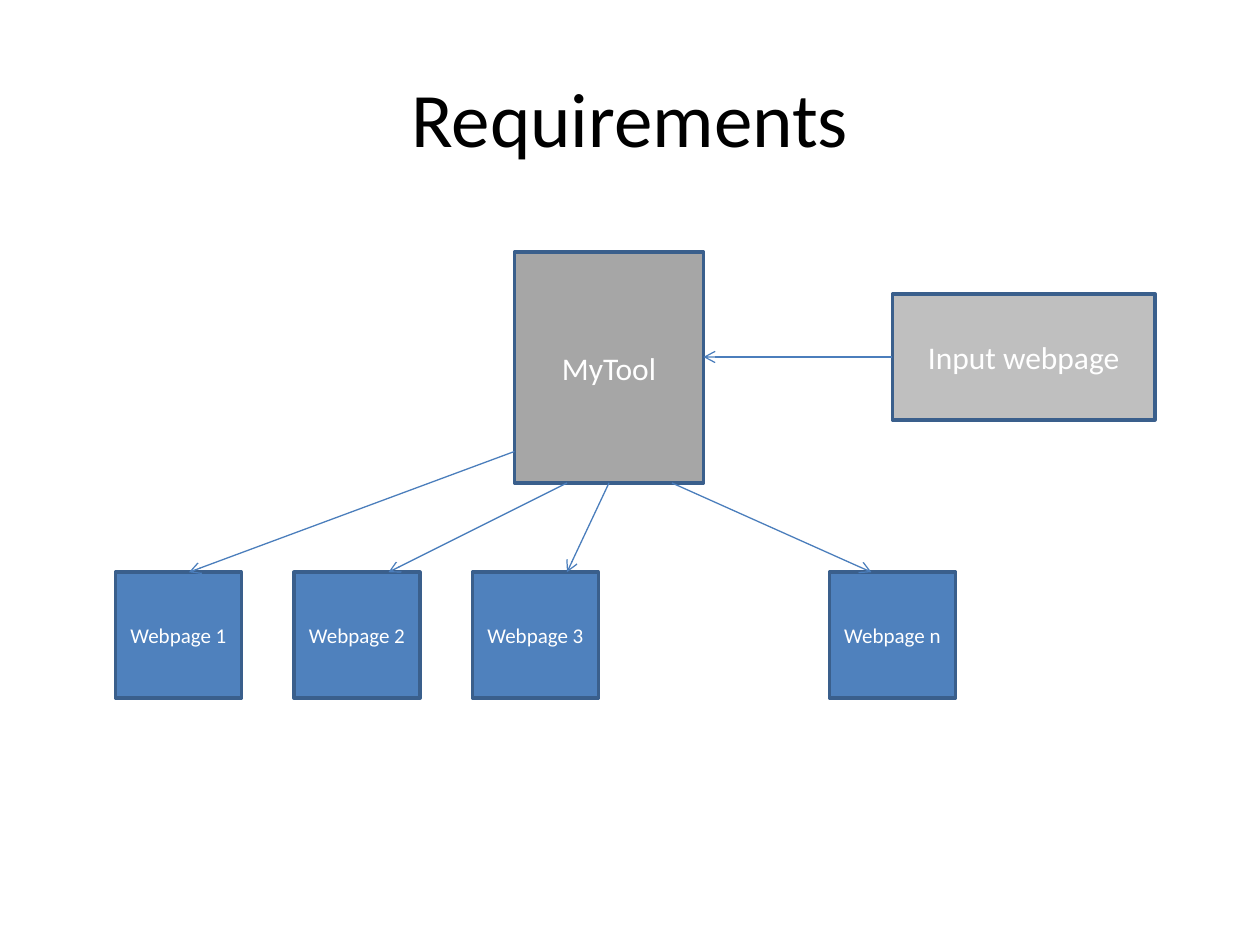
from lxml import etree
from pptx import Presentation
from pptx.dml.color import RGBColor
from pptx.enum.shapes import MSO_CONNECTOR, MSO_SHAPE
from pptx.enum.text import MSO_ANCHOR, PP_ALIGN
from pptx.oxml.ns import qn
from pptx.util import Pt

RECT = MSO_SHAPE.RECTANGLE
STRAIGHT = MSO_CONNECTOR.STRAIGHT
MIDDLE = MSO_ANCHOR.MIDDLE
CENTER = PP_ALIGN.CENTER
BOTTOM_SIDE, LEFT_SIDE = 2, 1
TITLE_ONLY = 5
PAGE_LEFT, PAGE_TOP, PAGE_SIZE, PAGE_PITCH = 66, 327, 72, 102


def rgb(value):
    """Return the colour for a hex string."""
    return RGBColor.from_string(value)


def write(sp, text, size, color):
    """Put one centred line of text in a shape."""
    tf = sp.text_frame
    tf.word_wrap = True
    tf.vertical_anchor = MIDDLE
    p = tf.paragraphs[0]
    p.alignment = CENTER
    r = p.add_run()
    r.text = text
    for name, value in {"name": "Calibri", "size": Pt(size)}.items():
        setattr(r.font, name, value)
    r.font.color.rgb = rgb(color)


def add_title(s, text):
    """Fill and place the title placeholder."""
    sp = s.shapes.title
    box = {"left": 36, "top": 21.6, "width": 648, "height": 90}
    for name, value in box.items():
        setattr(sp, name, Pt(value))
    write(sp, text, 44, "000000")


def add_box(s, text, box, fill, size):
    """Add an outlined rectangle with a label."""
    sp = s.shapes.add_shape(RECT, *map(Pt, box))
    sp.shadow.inherit = False
    sp.fill.solid()
    sp.fill.fore_color.rgb = rgb(fill)
    sp.line.color.rgb = rgb("3A5F8C")
    sp.line.width = Pt(2)
    write(sp, text, size, "FFFFFF")
    return sp


def add_arrow(s, start, end):
    """Add a thin straight connector with an open arrowhead at its end."""
    c = s.shapes.add_connector(STRAIGHT, *map(Pt, (*start, *end)))
    c.line.color.rgb = rgb("4B7EBC")
    c.line.width = Pt(0.75)
    etree.SubElement(c.line._get_or_add_ln(), qn("a:tailEnd"), type="arrow")
    etree.SubElement(c._element.spPr, qn("a:effectLst"))
    return c


def main():
    """Build the slide and save it."""
    prs = Presentation()
    prs.slide_width, prs.slide_height = Pt(720), Pt(540)
    s = prs.slides.add_slide(prs.slide_layouts[TITLE_ONLY])
    add_title(s, "Requirements")

    tool = add_box(s, "MyTool", (294, 144, 108, 132), "A6A6A6", 18)
    source = add_box(s, "Input webpage", (510, 168, 150, 72), "BFBFBF", 18)
    add_arrow(s, (510, 204), (402, 204)).begin_connect(source, LEFT_SIDE)

    for column, label in ((0, "1"), (1, "2"), (2, "3"), (4, "n")):
        left = PAGE_LEFT + column * PAGE_PITCH
        box = (left, PAGE_TOP, PAGE_SIZE, PAGE_SIZE)
        add_box(s, f"Webpage {label}", box, "4F81BD", 12)

    add_arrow(s, (294, 258), (108, PAGE_TOP))
    add_arrow(s, (324, 276), (222, PAGE_TOP))
    add_arrow(s, (348, 276), (324, PAGE_TOP)).begin_connect(tool, BOTTOM_SIDE)
    add_arrow(s, (384, 276), (498, PAGE_TOP))

    prs.save("out.pptx")


if __name__ == "__main__":
    main()
